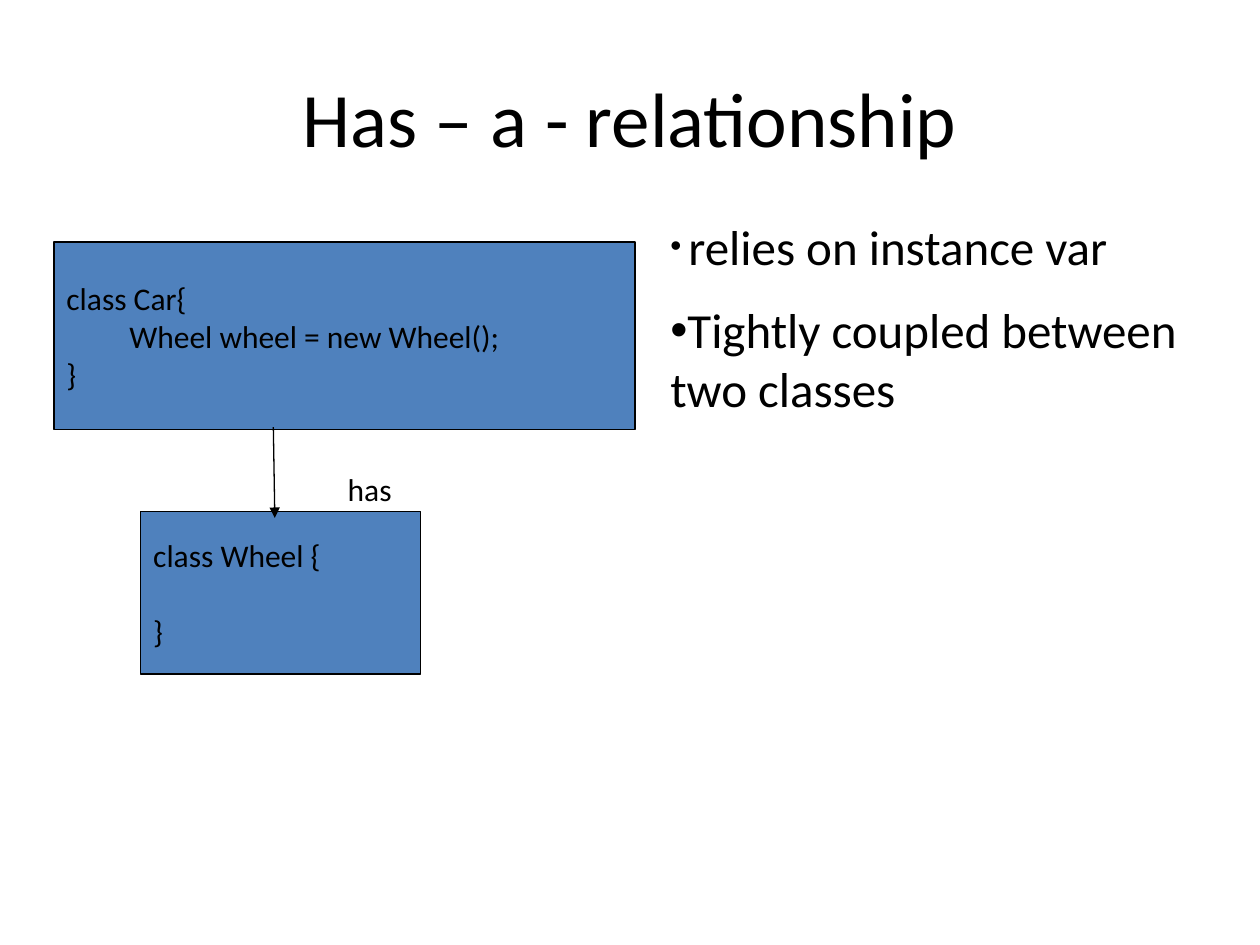
from dataclasses import dataclass

from lxml import etree
from pptx import Presentation
from pptx.dml.color import RGBColor
from pptx.enum import shapes, text
from pptx.oxml.ns import qn
from pptx.util import Cm, Pt

COLORS = {"ink": "000000", "box": "4F81BD"}
FONT = "Calibri"


@dataclass(frozen=True)
class Line:
    """One paragraph as (text, size) runs, with its space before in points."""
    runs: tuple[tuple[str, int], ...]
    before: float = 0


@dataclass(frozen=True)
class Area:
    left: float
    top: float
    width: float
    height: float

    def lengths(self) -> tuple:
        return Cm(self.left), Cm(self.top), Cm(self.width), Cm(self.height)


@dataclass(frozen=True)
class ClassBox:
    area: Area
    lines: tuple[Line, ...]


TITLE_AREA = Area(1.27, 0.76, 22.86, 3.18)
LIST_AREA = Area(13.26, 4.24, 11.2, 4.93)
LABEL_AREA = Area(6.76, 9.35, 1.98, 1.02)
ARROW = ((5.51, 8.61), (5.54, 10.44))

CLASS_BOXES = (
    ClassBox(Area(1.09, 4.88, 11.71, 3.78), (
        Line((("class Car{", 18),)),
        Line((("\tWheel wheel = new Wheel();", 18),)),
        Line((("}", 18),)),
    )),
    ClassBox(Area(2.84, 10.31, 5.64, 3.28), (
        Line((("class Wheel {", 18),)),
        Line((("}", 18),), before=22),
    )),
)

POINTS = (
    Line(((" ", 18), ("relies on instance var", 28))),
    Line((("Tightly coupled between two classes", 28),), before=14),
)


def color(name: str) -> RGBColor:
    return RGBColor.from_string(COLORS[name])


def place(shape, area: Area) -> None:
    shape.left, shape.top, shape.width, shape.height = area.lengths()


def add_bullet(paragraph) -> None:
    properties = paragraph._p.get_or_add_pPr()
    properties.set("marL", "0")
    properties.set("indent", "0")
    etree.SubElement(properties, qn("a:buChar")).set("char", "•")


def write(shape, lines: tuple[Line, ...], *, align=text.PP_ALIGN.LEFT,
          anchor=text.MSO_ANCHOR.TOP, bullets: bool = False) -> None:
    frame = shape.text_frame
    frame.word_wrap = True
    frame.auto_size = text.MSO_AUTO_SIZE.NONE
    frame.vertical_anchor = anchor
    for index, line in enumerate(lines):
        paragraph = frame.add_paragraph() if index else frame.paragraphs[0]
        paragraph.alignment = align
        paragraph.space_before = Pt(line.before)
        if bullets:
            add_bullet(paragraph)
        for words, size in line.runs:
            run = paragraph.add_run()
            run.text = words
            run.font.name = FONT
            run.font.size = Pt(size)
            run.font.color.rgb = color("ink")


def style_line(line) -> None:
    line.color.rgb = color("ink")
    line.width = Pt(0.75)


def draw_class_box(slide, box: ClassBox) -> None:
    shape = slide.shapes.add_shape(shapes.MSO_SHAPE.RECTANGLE, *box.area.lengths())
    shape.shadow.inherit = False
    shape.fill.solid()
    shape.fill.fore_color.rgb = color("box")
    style_line(shape.line)
    write(shape, box.lines, anchor=text.MSO_ANCHOR.MIDDLE)


def draw_arrow(slide, start: tuple[float, float], end: tuple[float, float]) -> None:
    arrow = slide.shapes.add_connector(
        shapes.MSO_CONNECTOR.STRAIGHT, *map(Cm, start + end))
    style_line(arrow.line)
    etree.SubElement(arrow.line._get_or_add_ln(), qn("a:tailEnd")).set("type", "triangle")
    etree.SubElement(arrow._element.spPr, qn("a:effectLst"))


def main() -> None:
    presentation = Presentation()
    presentation.slide_width, presentation.slide_height = Cm(25.4), Cm(19.05)
    slide = presentation.slides.add_slide(presentation.slide_layouts[1])

    title, body = slide.shapes.title, slide.placeholders[1]
    place(title, TITLE_AREA)
    write(title, (Line((("Has – a - relationship", 44),)),),
          align=text.PP_ALIGN.CENTER, anchor=text.MSO_ANCHOR.MIDDLE)
    place(body, LIST_AREA)
    write(body, POINTS, bullets=True)

    for box in CLASS_BOXES:
        draw_class_box(slide, box)
    draw_arrow(slide, *ARROW)
    label = slide.shapes.add_textbox(*LABEL_AREA.lengths())
    write(label, (Line((("has", 18),)),))

    presentation.save("out.pptx")


if __name__ == "__main__":
    main()
